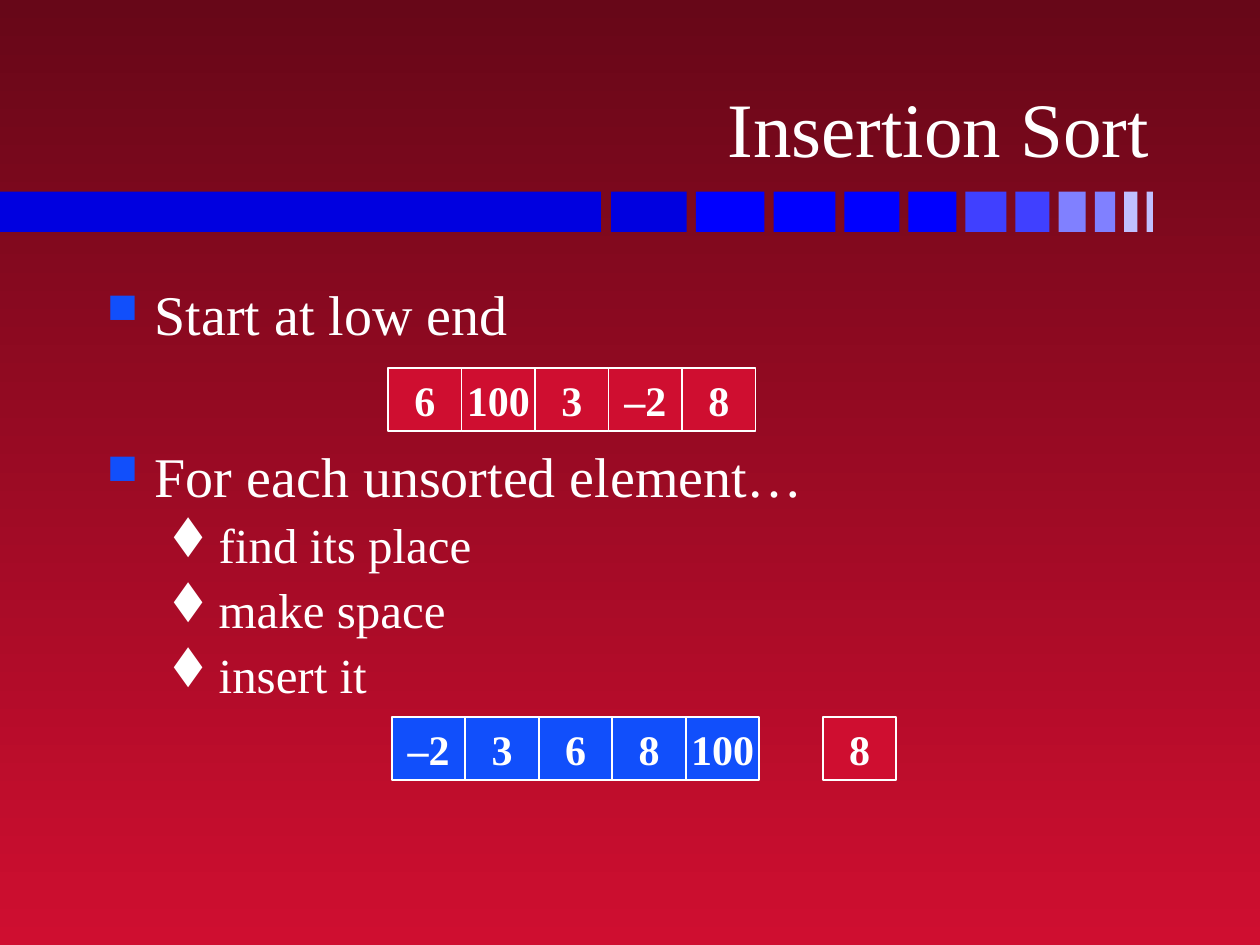
from dataclasses import dataclass

import pptx
from lxml import etree
from pptx import util as u
from pptx.dml import color
from pptx.enum import shapes, text
from pptx.oxml import ns

COLORS = {
    "dark_red": "670718", "red": "CF0E30", "blue": "114FFB", "white": "FFFFFF",
    "bar_1": "0000E0", "bar_2": "0000FF", "bar_3": "4040FF", "bar_4": "8080FF",
    "bar_5": "C0C0FF",
}
FONT = "Times New Roman"
WIDTH, HEIGHT = 10, 7.5
CELL_WIDTH, CELL_HEIGHT = 7 / 12, 0.5
BAR_TOP, BAR_HEIGHT = 1.52, 0.32
LONG_BAR, BARS_LEFT, BARS_RIGHT = 4.77, 4.85, 9.15
WIDEST_BAR, NARROWEST_BAR = 0.6, 0.05
BAR_COLORS = (["bar_1"] + ["bar_2"] * 4 + ["bar_3"] * 2
              + ["bar_4"] * 2 + ["bar_5"] * 2)
# Letters that the Wingdings symbol font draws as bullets
SQUARE, DIAMOND = "n", "t"


@dataclass(frozen=True)
class ArrayRow:
    left: float
    top: float
    values: tuple[str, ...]
    fill: str


@dataclass(frozen=True)
class Level:
    size: float
    indent: float
    hanging: float
    bullet: str
    bullet_color: str
    bullet_percent: int


@dataclass(frozen=True)
class Item:
    words: str
    level: Level
    space_before: float = 0


MAIN = Level(32, 0.38, 0.38, SQUARE, "blue", 75)
DETAIL = Level(28, 0.81, 0.31, DIAMOND, "white", 100)
ITEMS = (
    Item("Start at low end", MAIN),
    Item("For each unsorted element…", MAIN, 54),  # leaves room for the array
    Item("find its place", DETAIL, 3.5),
    Item("make space", DETAIL, 3.5),
    Item("insert it", DETAIL, 3.5),
)
ARRAYS = (
    ArrayRow(3.08, 2.92, ("6", "100", "3", "–2", "8"), "red"),
    ArrayRow(3.11, 5.69, ("–2", "3", "6", "8", "100"), "blue"),
    ArrayRow(6.53, 5.69, ("8",), "red"),
)


def rgb(name: str) -> color.RGBColor:
    return color.RGBColor.from_string(COLORS[name])


def write(paragraph, words: str, *, size: float, bold: bool = False,
          align=text.PP_ALIGN.LEFT, before: float = 0) -> None:
    paragraph.alignment = align
    if before:
        paragraph.space_before = u.Pt(before)
    run = paragraph.add_run()
    run.text = words
    run.font.name, run.font.size, run.font.bold = FONT, u.Pt(size), bold
    run.font.color.rgb = rgb("white")


def add_bullet(paragraph, level: Level) -> None:
    properties = paragraph._p.get_or_add_pPr()
    properties.set("marL", str(u.Inches(level.indent)))
    properties.set("indent", str(-u.Inches(level.hanging)))
    bullet_color = etree.SubElement(properties, ns.qn("a:buClr"))
    etree.SubElement(bullet_color, ns.qn("a:srgbClr"), val=COLORS[level.bullet_color])
    etree.SubElement(properties, ns.qn("a:buSzPct"), val=str(level.bullet_percent * 1000))
    etree.SubElement(properties, ns.qn("a:buFont"), typeface="Wingdings",
                     pitchFamily="2", charset="2")
    etree.SubElement(properties, ns.qn("a:buChar"), char=level.bullet)


def add_rectangle(slide, left: float, top: float, width: float, height: float,
                  fill: str, outlined: bool = False):
    shape = slide.shapes.add_shape(
        shapes.MSO_SHAPE.RECTANGLE,
        u.Inches(left), u.Inches(top), u.Inches(width), u.Inches(height))
    shape.shadow.inherit = False
    shape.fill.solid()
    shape.fill.fore_color.rgb = rgb(fill)
    if outlined:
        shape.line.color.rgb = rgb("white")
        shape.line.width = u.Pt(1)
    else:
        shape.line.fill.background()
    return shape


def add_text_frame(slide, left: float, top: float, width: float, height: float, anchor):
    box = slide.shapes.add_textbox(
        u.Inches(left), u.Inches(top), u.Inches(width), u.Inches(height))
    box.text_frame.word_wrap = True
    box.text_frame.vertical_anchor = anchor
    return box.text_frame


def paint_background(slide) -> None:
    fill = slide.background.fill
    fill.gradient()
    fill.gradient_angle = 270
    for stop, name, position in zip(fill.gradient_stops, ("dark_red", "red"), (0, 1)):
        stop.color.rgb = rgb(name)
        stop.position = position


def add_divider(slide) -> None:
    """Draw one long bar, then bars that shrink evenly with equal gaps."""
    add_rectangle(slide, 0, BAR_TOP, LONG_BAR, BAR_HEIGHT, "bar_1")
    gaps = len(BAR_COLORS) - 1
    step = (WIDEST_BAR - NARROWEST_BAR) / gaps
    widths = [WIDEST_BAR - step * index for index in range(gaps + 1)]
    gap = (BARS_RIGHT - BARS_LEFT - sum(widths)) / gaps
    left = BARS_LEFT
    for width, fill in zip(widths, BAR_COLORS):
        add_rectangle(slide, left, BAR_TOP, width, BAR_HEIGHT, fill)
        left += width + gap


def add_array(slide, row: ArrayRow) -> None:
    for column, value in enumerate(row.values):
        cell = add_rectangle(slide, row.left + column * CELL_WIDTH, row.top,
                             CELL_WIDTH, CELL_HEIGHT, row.fill, outlined=True)
        cell.text_frame.word_wrap = False
        cell.text_frame.vertical_anchor = text.MSO_ANCHOR.MIDDLE
        write(cell.text_frame.paragraphs[0], value, size=24, bold=True,
              align=text.PP_ALIGN.CENTER)


def add_items(slide) -> None:
    frame = add_text_frame(slide, 0.75, 2.17, 0.85 * WIDTH, 0.6 * HEIGHT,
                           text.MSO_ANCHOR.TOP)
    for index, item in enumerate(ITEMS):
        paragraph = frame.add_paragraph() if index else frame.paragraphs[0]
        add_bullet(paragraph, item.level)
        write(paragraph, item.words, size=item.level.size, before=item.space_before)


def main() -> None:
    presentation = pptx.Presentation()
    presentation.slide_width, presentation.slide_height = u.Inches(WIDTH), u.Inches(HEIGHT)
    slide = presentation.slides.add_slide(presentation.slide_layouts[6])
    paint_background(slide)
    add_divider(slide)
    title = add_text_frame(slide, 0.74, 0.19, 8.48, 1.23, text.MSO_ANCHOR.BOTTOM)
    write(title.paragraphs[0], "Insertion Sort", size=44, align=text.PP_ALIGN.RIGHT)
    add_items(slide)
    for row in ARRAYS:
        add_array(slide, row)
    presentation.save("out.pptx")


if __name__ == "__main__":
    main()
